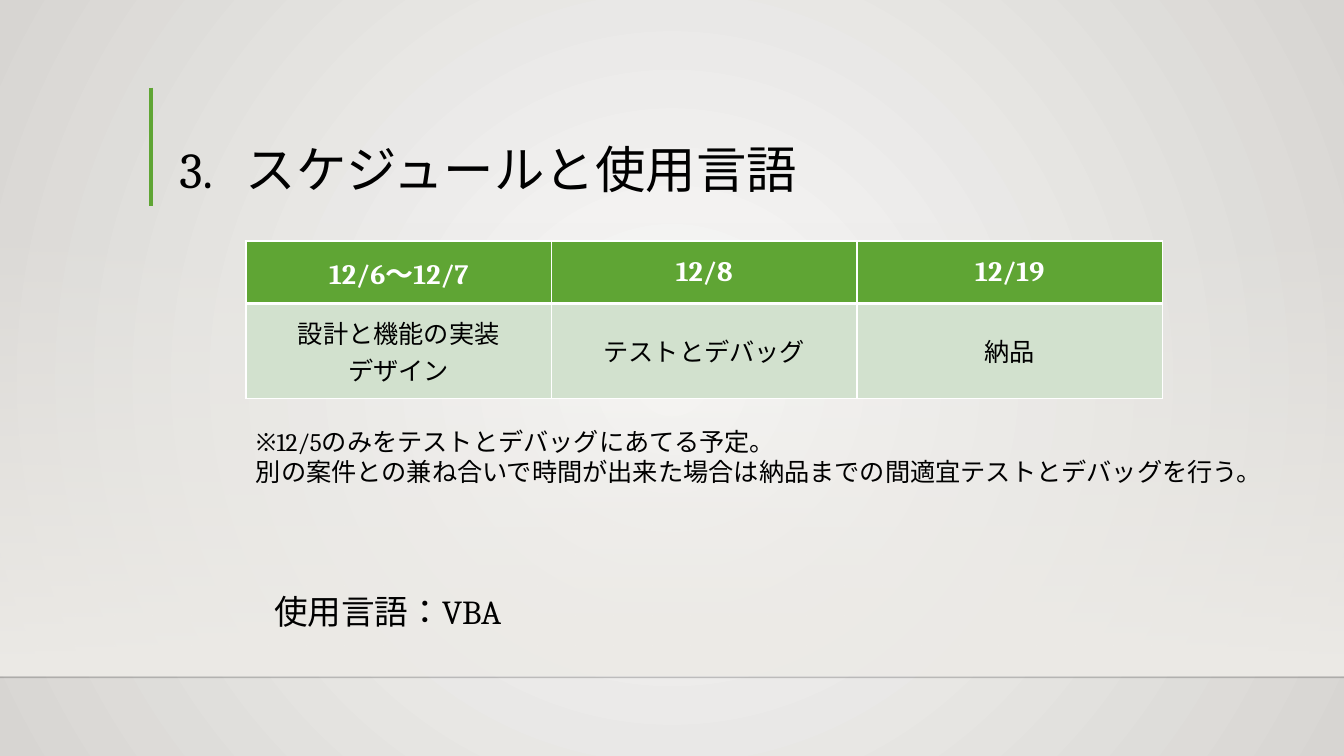
from lxml.etree import SubElement
from pptx import Presentation
from pptx.dml.color import RGBColor
from pptx.enum.lang import MSO_LANGUAGE_ID as Language
from pptx.enum.shapes import MSO_CONNECTOR as Connector, MSO_SHAPE as Shape
from pptx.enum.text import MSO_ANCHOR as Anchor, MSO_AUTO_SIZE as AutoSize, PP_ALIGN as Align
from pptx.oxml.ns import qn
from pptx.util import Inches, Pt

BLACK = RGBColor(0x00, 0x00, 0x00)
WHITE = RGBColor(0xFF, 0xFF, 0xFF)
GREEN = RGBColor(0x5F, 0xA5, 0x34)
PALE_GREEN = RGBColor(0xD2, 0xE1, 0xCE)
CENTER_GRAY = RGBColor(0xFA, 0xFA, 0xF9)
EDGE_GRAY = RGBColor(0xD7, 0xD5, 0xD2)
WALL_GRAY = RGBColor(0xED, 0xEB, 0xE7)
FLOOR_LINE = RGBColor(0x00, 0x00, 0x01)


def write_text(text_frame, lines, size, color=BLACK, bold=False, align=Align.LEFT):
    for index, line in enumerate(lines):
        paragraph = text_frame.add_paragraph() if index else text_frame.paragraphs[0]
        paragraph.alignment = align
        run = paragraph.add_run()
        run.text = line
        font_format = {"name": "Cambria", "size": Pt(size), "bold": bold,
                       "language_id": Language.JAPANESE}
        for name, value in font_format.items():
            setattr(run.font, name, value)
        run.font.color.rgb = color


def fill_gradient(fill, colors):
    fill.gradient()
    for stop, color, position in zip(fill.gradient_stops, colors, (0, 1)):
        stop.color.rgb = color
        stop.position = position


presentation = Presentation()
presentation.slide_width = Inches(13.33)
presentation.slide_height = Inches(7.5)
slide = presentation.slides.add_slide(presentation.slide_layouts[6])

fill_gradient(slide.background.fill, (CENTER_GRAY, EDGE_GRAY))
gradient = slide.element.find(".//" + qn("a:gradFill"))
gradient.remove(gradient.find(qn("a:lin")))
circle = SubElement(gradient, qn("a:path"), path="circle")
SubElement(circle, qn("a:fillToRect"), l="50000", t="50000", r="50000", b="50000")

wall = slide.shapes.add_shape(Shape.RECTANGLE, 0, Inches(2.2), Inches(13.33), Inches(4.5))
wall.shadow.inherit = False
wall.line.fill.background()
fill_gradient(wall.fill, (WALL_GRAY, WALL_GRAY))
wall.fill.gradient_angle = 270
first_color = wall.element.find(".//" + qn("a:srgbClr"))
SubElement(first_color, qn("a:alpha"), val="0")

for left, top, right, bottom, color, width, opacity in (
    (0, 6.72, 13.33, 6.72, FLOOR_LINE, 1, 20),
    (1.5, 0.87, 1.5, 2.04, GREEN, 3, 100),
):
    connector = slide.shapes.add_connector(
        Connector.STRAIGHT, Inches(left), Inches(top), Inches(right), Inches(bottom))
    connector.line.color.rgb = color
    connector.line.width = Pt(width)
    line_color = connector.element.find(".//" + qn("a:srgbClr"))
    SubElement(line_color, qn("a:alpha"), val=str(opacity * 1000))
    SubElement(connector.element.spPr, qn("a:effectLst"))

title = slide.shapes.add_textbox(Inches(1.68), Inches(0.88), Inches(10.41), Inches(1.15))
title.text_frame.word_wrap = True
title.text_frame.vertical_anchor = Anchor.BOTTOM
write_text(title.text_frame, ["3.\tスケジュールと使用言語"], 36)
title_paragraph = title.text_frame.paragraphs[0]
title_paragraph.line_spacing = 0.9
tabs = SubElement(title_paragraph._p.get_or_add_pPr(), qn("a:tabLst"))
SubElement(tabs, qn("a:tab"), pos=str(Inches(0.66)), algn="l")

schedule = [
    [["12/6～12/7"], ["12/8"], ["12/19"]],
    [["設計と機能の実装", "デザイン"], ["テストとデバッグ"], ["納品"]],
]
row_formats = [
    {"height": 0.62, "fill": GREEN, "borders": {"L": 1, "R": 1, "T": 1, "B": 3},
     "text": {"size": 20, "color": WHITE, "bold": True}},
    {"height": 0.94, "fill": PALE_GREEN, "borders": {"L": 1, "R": 1, "T": 3, "B": 1},
     "text": {"size": 18}},
]
table = slide.shapes.add_table(
    2, 3, Inches(2.44), Inches(2.39), Inches(9.09), Inches(1.56)).table
for column in table.columns:
    column.width = Inches(3.03)
for row, texts, row_format in zip(table.rows, schedule, row_formats):
    row.height = Inches(row_format["height"])
    for cell, lines in zip(row.cells, texts):
        cell.vertical_anchor = Anchor.MIDDLE
        write_text(cell.text_frame, lines, align=Align.CENTER, **row_format["text"])
        properties = cell._tc.get_or_add_tcPr()
        for side, width in row_format["borders"].items():
            border = SubElement(properties, qn("a:ln" + side), w=str(Pt(width)))
            border_fill = SubElement(border, qn("a:solidFill"))
            SubElement(border_fill, qn("a:srgbClr"), val=str(WHITE))
        cell.fill.solid()
        cell.fill.fore_color.rgb = row_format["fill"]

for left, top, width, height, size, lines in (
    (2.44, 4.18, 10.14, 0.71, 18, [
        "※12/5のみをテストとデバッグにあてる予定。",
        "別の案件との兼ね合いで時間が出来た場合は納品までの間適宜テストとデバッグを行う。"]),
    (2.62, 5.81, 5.96, 0.5, 24, ["使用言語：VBA"]),
):
    note = slide.shapes.add_textbox(Inches(left), Inches(top), Inches(width), Inches(height))
    note.text_frame.word_wrap = True
    note.text_frame.auto_size = AutoSize.SHAPE_TO_FIT_TEXT
    write_text(note.text_frame, lines, size)

presentation.save("out.pptx")
